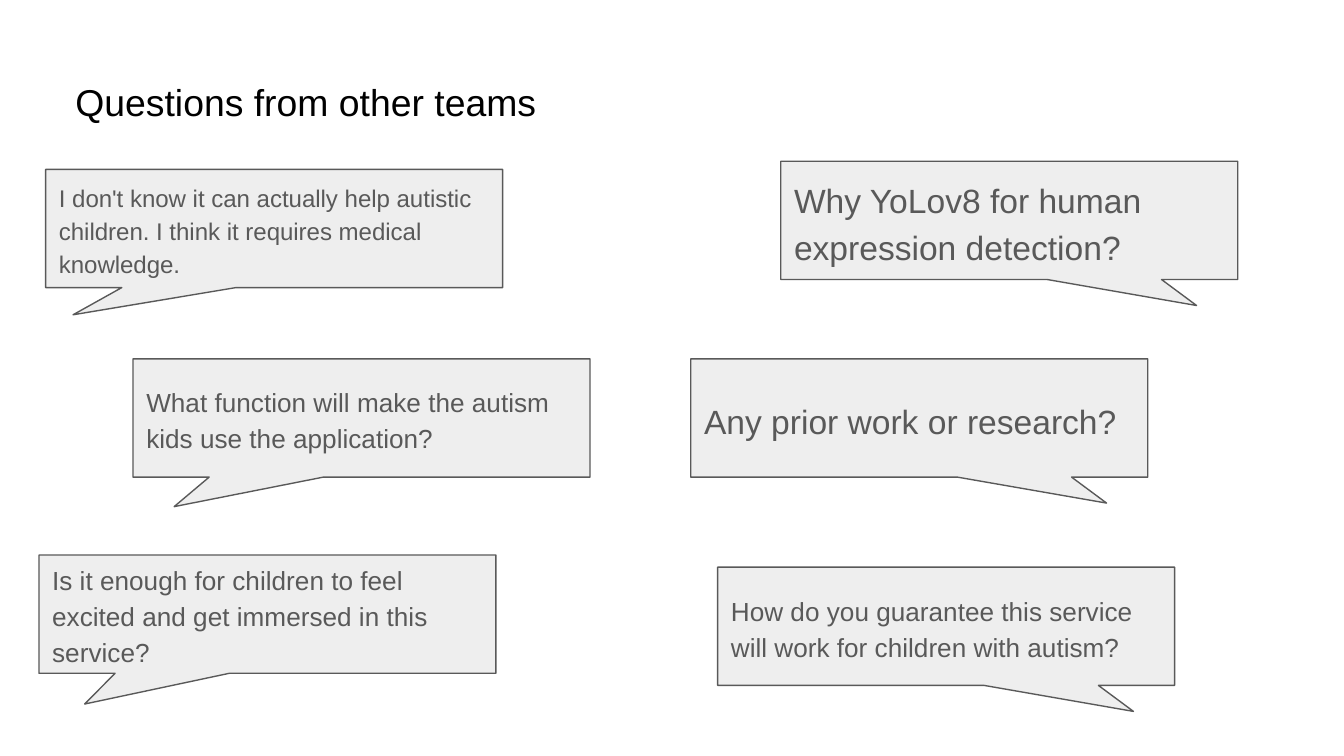
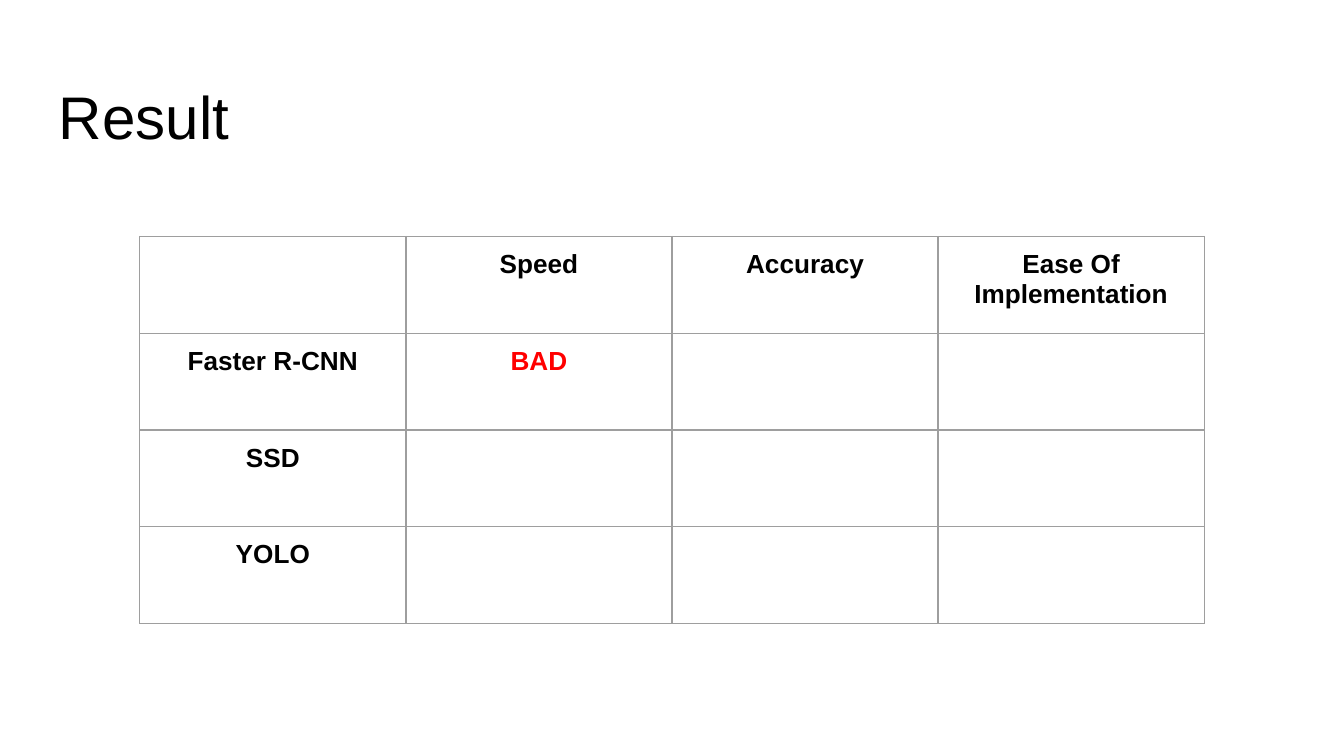
from lxml import etree
from pptx import Presentation
from pptx.dml.color import RGBColor
from pptx.enum import shapes, text
from pptx.oxml import ns
from pptx.util import Inches, Pt

# Content: left, top, tail x, tail y, text size, words
ASKS = [
    (0.34, 1.26, -0.44, 0.73, 12.9,
     "I don't know it can actually help autistic children. "
     "I think it requires medical knowledge."),
    (0.99, 2.67, -0.41, 0.75, 14,
     "What function will make the autism kids use the application?"),
    (5.81, 1.2, 0.41, 0.72, 18, "Why YoLov8 for human expression detection?"),
    (5.14, 2.67, 0.41, 0.72, 18, "Any prior work or research?"),
    (5.34, 4.22, 0.41, 0.72, 14,
     "How do you guarantee this service will work for children with autism?"),
    (0.29, 4.13, -0.4, 0.76, 14,
     "Is it enough for children to feel excited and get immersed "
     "in this service?"),
]
GRID = [
    ["", "Speed", "Accuracy", "Ease Of Implementation"],
    ["Faster R-CNN", "BAD", "", ""],
    ["SSD", "", "", ""],
    ["YOLO", "", "", ""],
]

# Shared style
FONT = "Arial"
BLACK = RGBColor(0x00, 0x00, 0x00)
GREY = RGBColor(0x59, 0x59, 0x59)
PALE = RGBColor(0xEE, 0xEE, 0xEE)
RULE = RGBColor(0x9E, 0x9E, 0x9E)
RED = RGBColor(0xFF, 0x00, 0x00)
WIDE = 10
HIGH = WIDE * 9 / 16
PAD = 0.1
THIN = Pt(0.75)
BOX = (3.4, 0.88)
CELL = (1.98, 0.72)


def pad(item, left=PAD):
    item.margin_left = Inches(left)
    item.margin_top = item.margin_right = item.margin_bottom = Inches(PAD)


def write(frame, words, size, color, bold=False,
          align=text.PP_ALIGN.LEFT, space=None):
    frame.text = words
    para = frame.paragraphs[0]
    para.alignment = align
    para.line_spacing = space
    for run in para.runs:
        font = run.font
        font.name, font.size, font.bold = FONT, Pt(size), bold
        font.color.rgb = color


def title(slide, words, size, indent=0):
    box = slide.shapes.add_textbox(
        Inches(0.34), Inches(0.49), Inches(9.32), Inches(0.63))
    frame = box.text_frame
    frame.word_wrap = True
    pad(frame, PAD + indent)
    write(frame, words, size, BLACK)


def bubble(slide, left, top, tail_x, tail_y, size, words):
    shape = slide.shapes.add_shape(
        shapes.MSO_SHAPE.RECTANGULAR_CALLOUT,
        Inches(left), Inches(top), *map(Inches, BOX))
    shape.adjustments[0] = tail_x
    shape.adjustments[1] = tail_y
    shape.shadow.inherit = False
    shape.fill.solid()
    shape.fill.fore_color.rgb = PALE
    shape.line.color.rgb = GREY
    shape.line.width = THIN
    frame = shape.text_frame
    frame.word_wrap = True
    frame.vertical_anchor = text.MSO_ANCHOR.MIDDLE
    pad(frame)
    write(frame, words, size, GREY, space=1.15)


def border(cell):
    props = cell._tc.get_or_add_tcPr()
    for side in ("a:lnL", "a:lnR", "a:lnT", "a:lnB"):
        line = etree.SubElement(props, ns.qn(side), w=str(int(THIN)))
        fill = etree.SubElement(line, ns.qn("a:solidFill"))
        etree.SubElement(fill, ns.qn("a:srgbClr"), val=str(RULE))


def table(slide, rows):
    wide, high = CELL
    count = len(rows[0])
    grid = slide.shapes.add_table(
        len(rows), count, Inches(1.04), Inches(1.76),
        Inches(wide * count), Inches(high * len(rows))).table
    grid.first_row = grid.horz_banding = False
    for col in grid.columns:
        col.width = Inches(wide)
    for r, row in enumerate(rows):
        grid.rows[r].height = Inches(high)
        for c, words in enumerate(row):
            cell = grid.cell(r, c)
            pad(cell)
            border(cell)
            cell.fill.background()
            if words:
                write(cell.text_frame, words, 14,
                      RED if words == "BAD" else BLACK,
                      bold=True, align=text.PP_ALIGN.CENTER)


def main():
    deck = Presentation()
    deck.slide_width, deck.slide_height = Inches(WIDE), Inches(HIGH)
    blank = deck.slide_layouts[6]

    # Questions
    slide = deck.slides.add_slide(blank)
    title(slide, "Questions from other teams", 20, indent=0.12)
    for ask in ASKS:
        bubble(slide, *ask)

    # Result
    slide = deck.slides.add_slide(blank)
    title(slide, "Result", 32.2)
    table(slide, GRID)

    deck.save("out.pptx")


if __name__ == "__main__":
    main()
